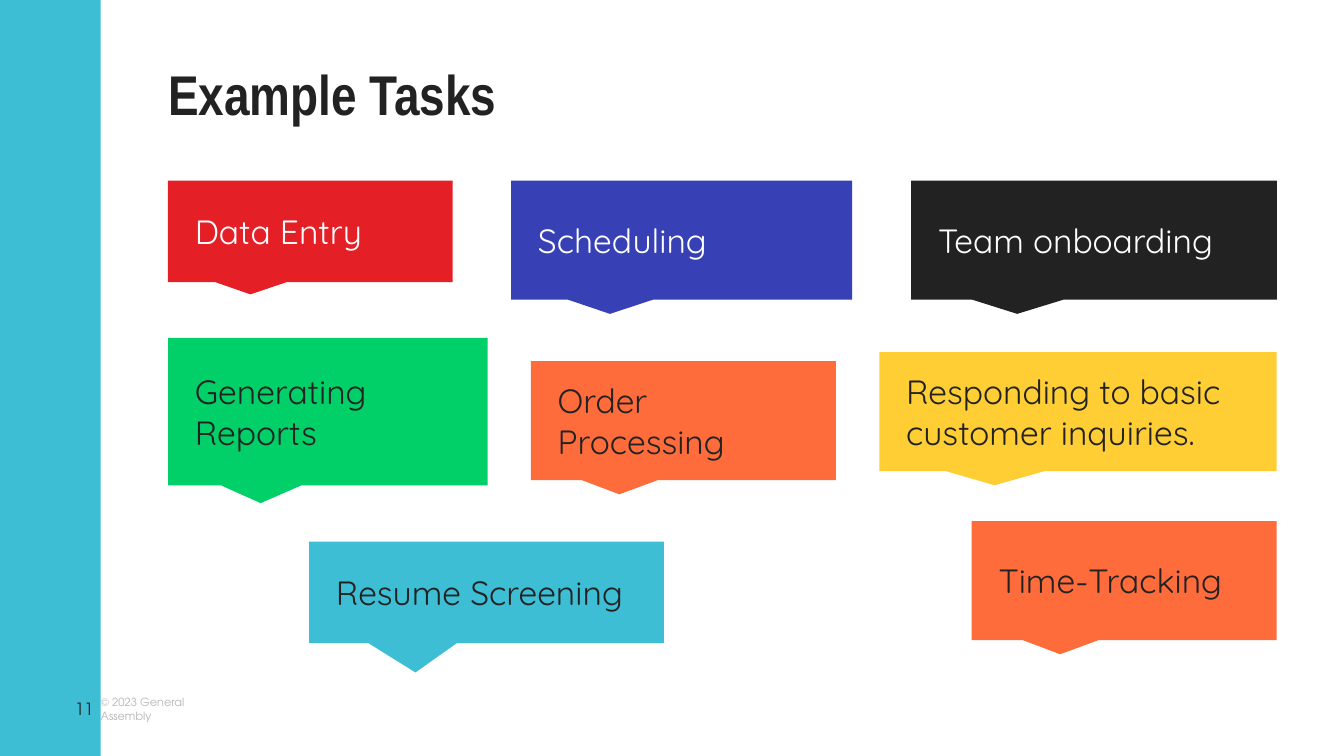
from dataclasses import dataclass

from pptx import Presentation
from pptx.dml.color import RGBColor
from pptx.enum.shapes import MSO_SHAPE
from pptx.enum.text import MSO_ANCHOR, MSO_AUTO_SIZE, PP_ALIGN
from pptx.util import Inches, Pt


@dataclass(frozen=True)
class Theme:
    white: str = "FFFFFF"
    ink: str = "222222"
    muted: str = "B7B7B7"
    teal: str = "3DBED4"
    red: str = "E41F26"
    blue: str = "3740B5"
    green: str = "01D068"
    yellow: str = "FFCD34"
    orange: str = "FE6C3B"
    title_font: str = "Arial Narrow"
    task_font: str = "Quicksand"
    footer_font: str = "TeX Gyre Adventor"
    title_size: int = 30
    task_size: int = 18
    number_size: int = 9
    copyright_size: int = 6


THEME = Theme()
CELL = 0.25
SLIDE_COLUMNS, SLIDE_ROWS = 40, 22.5
LEFT_COLUMN, RIGHT_COLUMN = 5, 38
TOP_ROW = 5.38
SHORT, MEDIUM, TALL = 3.02, 3.54, 4.39
POINTER = (-0.21, 0.62)
LONG_POINTER = (-0.2, 0.79)


def grid(cells):
    return Inches(cells * CELL)


def place(shape, column, row, columns, rows):
    shape.left, shape.top = grid(column), grid(row)
    shape.width, shape.height = grid(columns), grid(rows)


def write(shape, text, font, size, color, anchor=MSO_ANCHOR.MIDDLE,
          alignment=PP_ALIGN.LEFT, insets=(0, 0, 0, 0), bold=False):
    frame = shape.text_frame
    frame.word_wrap = True
    frame.auto_size = MSO_AUTO_SIZE.NONE
    frame.vertical_anchor = anchor
    frame.margin_left, frame.margin_top, frame.margin_right, frame.margin_bottom = map(Inches, insets)
    paragraph = frame.paragraphs[0]
    paragraph.alignment = alignment
    run = paragraph.add_run()
    run.text = text
    run.font.name = font
    run.font.size = Pt(size)
    run.font.bold = bold
    run.font.color.rgb = RGBColor.from_string(color)
    return paragraph


def add_block(slide, kind, area, color):
    shape = slide.shapes.add_shape(kind, *map(grid, area))
    shape.shadow.inherit = False
    shape.fill.solid()
    shape.fill.fore_color.rgb = RGBColor.from_string(color)
    shape.line.fill.background()
    return shape


def add_label(slide, area, text, size, color, alignment=PP_ALIGN.LEFT):
    box = slide.shapes.add_textbox(*map(grid, area))
    write(box, text, THEME.footer_font, size, color, alignment=alignment)


def add_title(slide, text):
    title = slide.shapes.title
    place(title, LEFT_COLUMN, 2, RIGHT_COLUMN - LEFT_COLUMN, 1.8)
    paragraph = write(title, text, THEME.title_font, THEME.title_size, THEME.ink,
                      anchor=MSO_ANCHOR.TOP, bold=True)
    paragraph.line_spacing = 0.9


def add_task(slide, text, area, fill, color=THEME.ink, pointer=POINTER):
    callout = add_block(slide, MSO_SHAPE.RECTANGULAR_CALLOUT, area, fill)
    callout.adjustments[0], callout.adjustments[1] = pointer
    write(callout, text, THEME.task_font, THEME.task_size, color,
          insets=(0.2, 0.1, 0.1, 0.1))


def right_aligned(row, columns, rows):
    return RIGHT_COLUMN - columns, row, columns, rows


def main():
    presentation = Presentation()
    presentation.slide_width = grid(SLIDE_COLUMNS)
    presentation.slide_height = grid(SLIDE_ROWS)
    slide = presentation.slides.add_slide(presentation.slide_layouts[5])

    add_label(slide, (3, 20.7, 4, 0.8), "© 2023 General Assembly",
              THEME.copyright_size, THEME.muted)
    add_block(slide, MSO_SHAPE.RECTANGLE, (0, 0, 3, SLIDE_ROWS), THEME.teal)
    add_title(slide, "Example Tasks")
    add_label(slide, (1.38, 20.4, 1.4, 1.4), "11",
              THEME.number_size, THEME.ink, PP_ALIGN.RIGHT)

    tasks = [
        ("Data Entry", (LEFT_COLUMN, TOP_ROW, 8.47, SHORT), THEME.red, THEME.white),
        ("Scheduling", (15.21, TOP_ROW, 10.15, MEDIUM), THEME.blue, THEME.white),
        ("Team onboarding", right_aligned(TOP_ROW, 10.88, MEDIUM), THEME.ink, THEME.white),
        ("Generating Reports", (LEFT_COLUMN, 10.06, 9.51, TALL), THEME.green),
        ("Resume Screening", (9.2, 16.12, 10.56, SHORT), THEME.teal, THEME.ink, LONG_POINTER),
        ("Responding to basic customer inquiries.", right_aligned(10.48, 11.83, MEDIUM), THEME.yellow),
        ("Time-Tracking", right_aligned(15.51, 9.08, MEDIUM), THEME.orange),
        ("Order Processing", (15.8, 10.75, 9.08, MEDIUM), THEME.orange),
    ]
    for task in tasks:
        add_task(slide, *task)

    presentation.save("out.pptx")


if __name__ == "__main__":
    main()
